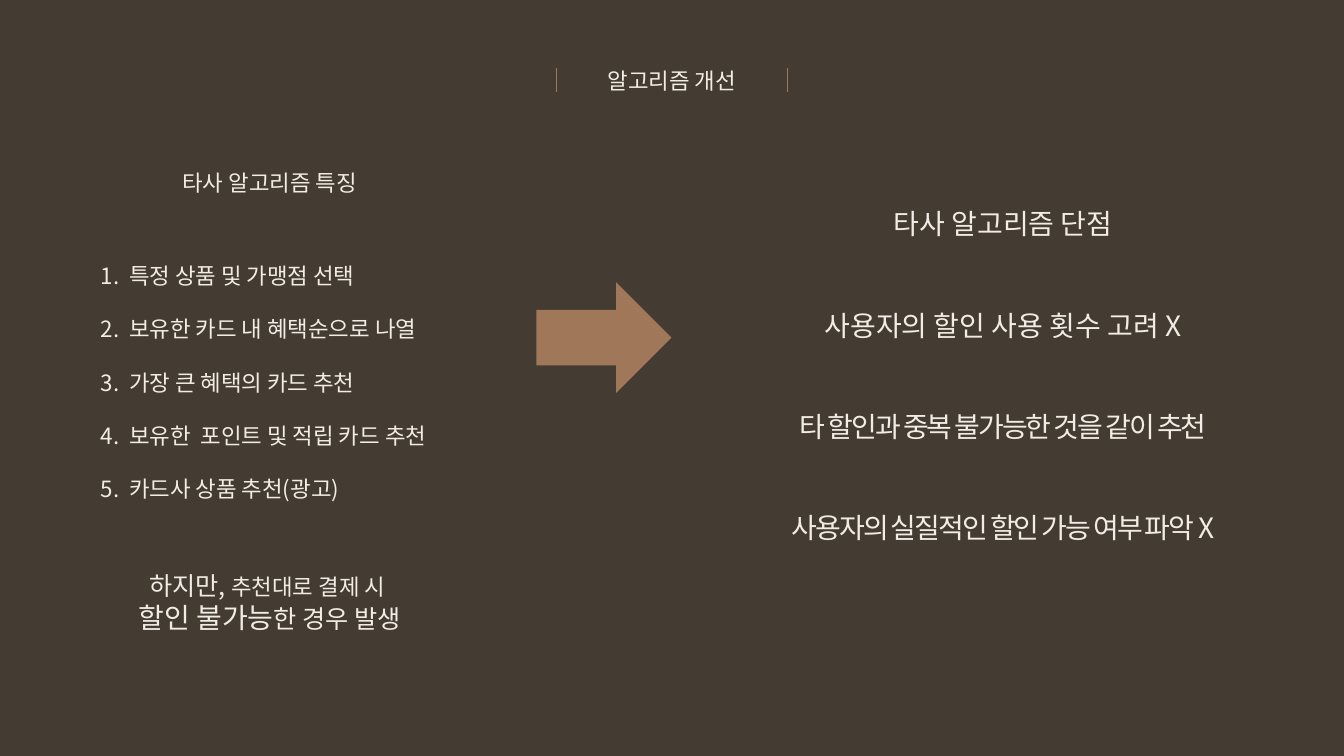
import dataclasses

import lxml.etree
import pptx
import pptx.dml.color
import pptx.enum.shapes
import pptx.enum.text
import pptx.oxml.ns
import pptx.util

Inches = pptx.util.Inches
Pt = pptx.util.Pt
Align = pptx.enum.text.PP_ALIGN
Anchor = pptx.enum.text.MSO_ANCHOR
AutoSize = pptx.enum.text.MSO_AUTO_SIZE


@dataclasses.dataclass(frozen=True)
class Theme:
    background: str = "443B32"
    ink: str = "F1ECE6"
    accent: str = "A07759"
    title_font: str = "Noto Sans"
    font: str = "Noto Sans CJK KR"
    small: int = 16
    medium: int = 18
    large: int = 20
    tight: float = -1.5


THEME = Theme()


def color(value):
    return pptx.dml.color.RGBColor.from_string(value)


def child(parent, tag, **attributes):
    element = lxml.etree.SubElement(parent, pptx.oxml.ns.qn(tag))
    for name, value in attributes.items():
        element.set(name, value)
    return element


def write(para, text, size=THEME.small, font=THEME.font, spacing=0, align=Align.CENTER):
    para.alignment = align
    span = para.add_run()
    span.text = text
    span.font.size = Pt(size)
    span.font.name = font
    span.font.color.rgb = color(THEME.ink)
    properties = span.font._element
    child(properties, "a:ea", typeface=THEME.font)
    if spacing:
        properties.set("spc", str(round(spacing * 100)))


def place(box, left, top, width, height):
    box.left, box.top = Inches(left), Inches(top)
    box.width, box.height = Inches(width), Inches(height)


def add_text(page, left, top, width, height, lines):
    box = page.shapes.add_textbox(Inches(left), Inches(top), Inches(width), Inches(height))
    frame = box.text_frame
    frame.word_wrap = True
    frame.auto_size = AutoSize.SHAPE_TO_FIT_TEXT
    for index, spans in enumerate(lines):
        para = frame.add_paragraph() if index else frame.paragraphs[0]
        for text, options in spans:
            write(para, text, **options)


def add_header(page, left, top, width, height):
    title = page.shapes.title
    inset = 0.35
    place(title, left + inset, top, width - 2 * inset, height)
    title.text_frame.word_wrap = False
    title.text_frame.auto_size = AutoSize.NONE
    title.text_frame.vertical_anchor = Anchor.MIDDLE
    write(title.text_frame.paragraphs[0], "알고리즘 개선", font=THEME.title_font)
    for x in (left, left + width):
        bar = page.shapes.add_connector(
            pptx.enum.shapes.MSO_CONNECTOR.STRAIGHT,
            Inches(x), Inches(top + 0.06), Inches(x), Inches(top + 0.3))
        bar.line.color.rgb = color(THEME.accent)
        bar.line.width = Pt(1.25)
        child(bar._element.spPr, "a:effectLst")


def add_features(page, left, top, width):
    add_text(page, left, top, width, 0.37, [[("타사 알고리즘 특징", {})]])
    features = (
        "특정 상품 및 가맹점 선택",
        "보유한 카드 내 혜택순으로 나열",
        "가장 큰 혜택의 카드 추천",
        "보유한  포인트 및 적립 카드 추천",
        "카드사 상품 추천(광고)",
    )
    body = page.placeholders[1]
    place(body, left + 0.19, top + 0.92, 4.56, 2.9)
    frame = body.text_frame
    frame.auto_size = AutoSize.NONE
    frame.vertical_anchor = Anchor.TOP
    for index, feature in enumerate(features):
        para = frame.add_paragraph() if index else frame.paragraphs[0]
        para.space_before = Pt(0)
        para.space_after = Pt(18.9)
        write(para, feature, align=Align.LEFT)
        properties = para._p.get_or_add_pPr()
        properties.set("marL", str(Inches(0.28)))
        properties.set("indent", str(Inches(-0.28)))
        child(properties, "a:buFont", typeface=THEME.font)
        child(properties, "a:buAutoNum", type="arabicPeriod")
    add_text(page, left, top + 3.98, width, 0.74, [
        [("하지만, ", {"size": THEME.medium}), ("추천대로 결제 시 ", {})],
        [("할인 불가능", {"size": THEME.large}), ("한 경우 발생", {"size": THEME.medium})],
    ])


def add_arrow(page, left, top, width, height):
    arrow = page.shapes.add_shape(
        pptx.enum.shapes.MSO_SHAPE.RIGHT_ARROW,
        Inches(left), Inches(top), Inches(width), Inches(height))
    arrow.shadow.inherit = False
    arrow.fill.solid()
    arrow.fill.fore_color.rgb = color(THEME.accent)
    arrow.line.fill.background()


def add_drawbacks(page, left, top, width):
    drawbacks = (
        ("타사 알고리즘 단점", 0),
        ("사용자의 할인 사용 횟수 고려 X", 0),
        ("타 할인과 중복 불가능한 것을 같이 추천", THEME.tight),
        ("사용자의 실질적인 할인 가능 여부 파악 X", THEME.tight),
    )
    for index, (text, spacing) in enumerate(drawbacks):
        add_text(page, left, round(top + 1.006 * index, 2), width, 0.44,
                 [[(text, {"size": THEME.large, "spacing": spacing})]])


def main():
    deck = pptx.Presentation()
    deck.slide_width, deck.slide_height = Inches(13.33), Inches(7.5)
    page = deck.slides.add_slide(deck.slide_layouts[1])
    page.background.fill.solid()
    page.background.fill.fore_color.rgb = color(THEME.background)
    add_header(page, 5.52, 0.61, 2.29, 0.37)
    add_features(page, 0.71, 1.63, 3.93)
    add_arrow(page, 5.32, 2.8, 1.34, 1.1)
    add_drawbacks(page, 7.47, 2, 4.96)
    deck.save("out.pptx")


if __name__ == "__main__":
    main()
